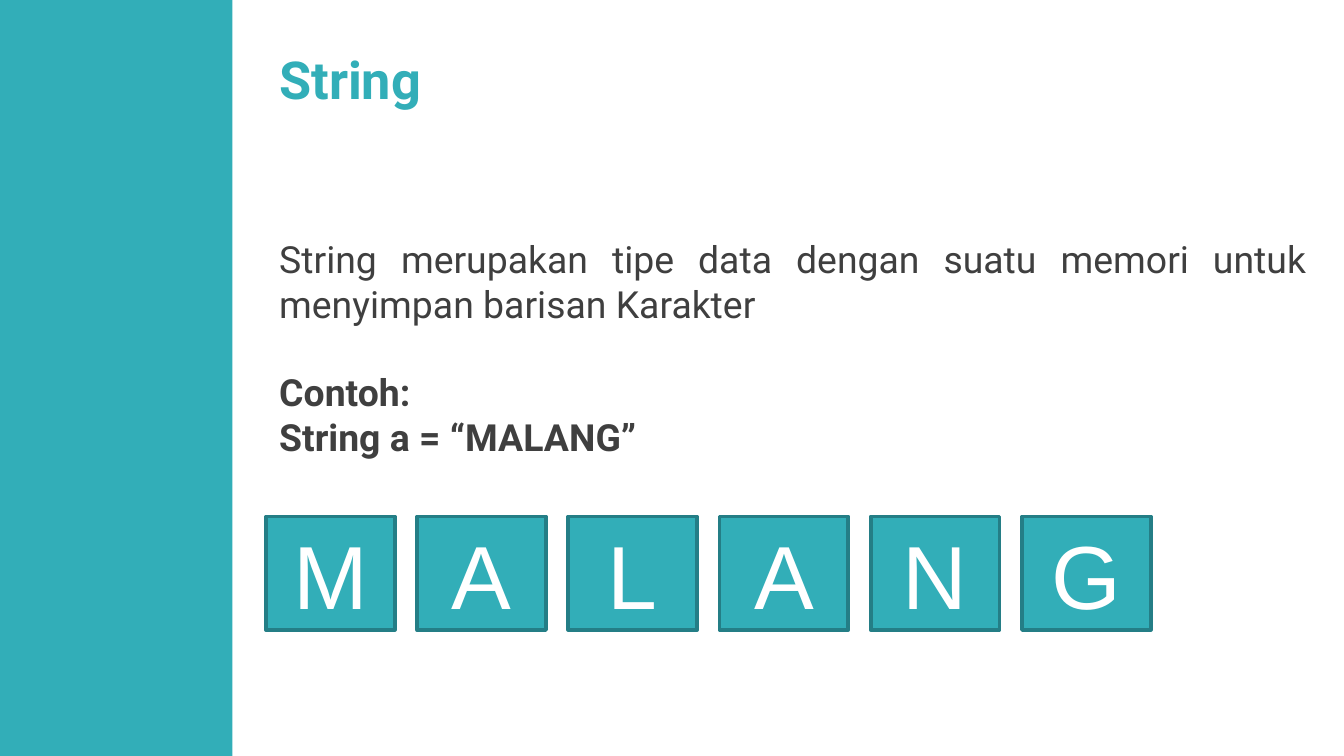
"""Builds the slide that explains the String data type with one box per letter."""
from pptx import Presentation
from pptx.dml.color import RGBColor
from pptx.enum.shapes import MSO_SHAPE
from pptx.enum.text import MSO_ANCHOR, MSO_AUTO_SIZE, PP_ALIGN
from pptx.util import Pt

RECTANGLE = MSO_SHAPE.RECTANGLE
TOP, MIDDLE = MSO_ANCHOR.TOP, MSO_ANCHOR.MIDDLE
LEFT, CENTER, JUSTIFY = PP_ALIGN.LEFT, PP_ALIGN.CENTER, PP_ALIGN.JUSTIFY
NO_AUTOFIT = MSO_AUTO_SIZE.NONE

HEADING = "String"
EXPLANATION = [
    {"text": "String merupakan tipe data dengan suatu memori untuk menyimpan barisan Karakter",
     "bold": False, "gap": 0},
    {"text": "Contoh:", "bold": True, "gap": 23.5},
    {"text": "String a = “MALANG”", "bold": True, "gap": 0},
]
LETTERS = "MALANG"

COLORS = {"teal": "32AEB8", "edge": "247E86", "body": "3F3F3F", "white": "FFFFFF"}
EMU_PER_PX = 9525
SLIDE_W, SLIDE_H = 960, 540
SIDEBAR_W = 166
CONTENT_X = 190
LETTER_Y, LETTER_W, LETTER_H, LETTER_GAP = 369, 92, 81, 16


def px(*lengths):
    return [length * EMU_PER_PX for length in lengths]


def color(name):
    return RGBColor.from_string(COLORS[name])


def prepare_frame(frame, anchor):
    frame.word_wrap = True
    frame.auto_size = NO_AUTOFIT
    frame.vertical_anchor = anchor


def add_run(paragraph, text, font_name, size, color_name, align, bold=False):
    paragraph.alignment = align
    run = paragraph.add_run()
    run.text = text
    run.font.name = font_name
    run.font.size = Pt(size)
    run.font.bold = bold
    run.font.color.rgb = color(color_name)


def add_rectangle(slide, x, y, width, height):
    rectangle = slide.shapes.add_shape(RECTANGLE, *px(x, y, width, height))
    rectangle.shadow.inherit = False
    rectangle.fill.solid()
    rectangle.fill.fore_color.rgb = color("teal")
    rectangle.line.fill.background()
    return rectangle


def add_heading(slide):
    heading = slide.shapes.title
    heading.left, heading.top, heading.width, heading.height = px(CONTENT_X, 29, 681, 105)
    prepare_frame(heading.text_frame, TOP)
    add_run(heading.text_frame.paragraphs[0], HEADING, "Roboto", 28, "teal", LEFT, True)


def add_explanation(slide):
    frame = slide.shapes.add_textbox(*px(CONTENT_X, 164, 753, 184)).text_frame
    prepare_frame(frame, TOP)
    for index, line in enumerate(EXPLANATION):
        paragraph = frame.add_paragraph() if index else frame.paragraphs[0]
        paragraph.space_before = Pt(line["gap"])
        add_run(paragraph, line["text"], "Roboto", 20, "body", JUSTIFY, line["bold"])


def add_letters(slide):
    for index, letter in enumerate(LETTERS):
        x = CONTENT_X + index * (LETTER_W + LETTER_GAP)
        box = add_rectangle(slide, x, LETTER_Y, LETTER_W, LETTER_H)
        box.line.color.rgb = color("edge")
        box.line.width = Pt(2)
        prepare_frame(box.text_frame, MIDDLE)
        add_run(box.text_frame.paragraphs[0], letter, "Arial", 48, "white", CENTER)


def main():
    deck = Presentation()
    deck.slide_width, deck.slide_height = px(SLIDE_W, SLIDE_H)
    slide = deck.slides.add_slide(deck.slide_layouts.get_by_name("Title Only"))
    add_rectangle(slide, 0, 0, SIDEBAR_W, SLIDE_H)
    add_heading(slide)
    add_explanation(slide)
    add_letters(slide)
    deck.save("out.pptx")


if __name__ == "__main__":
    main()
